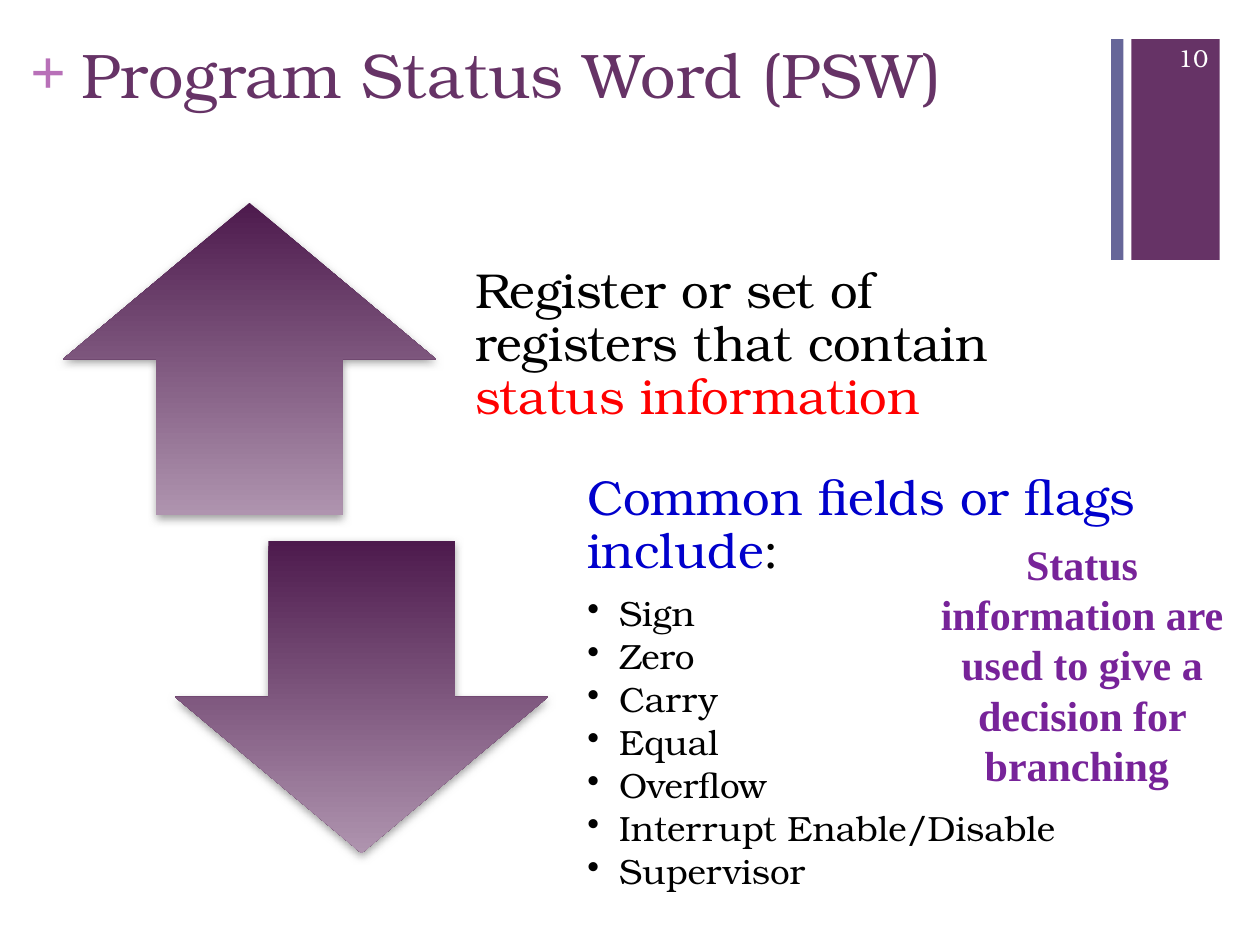
from lxml import etree
from pptx import Presentation
from pptx.dml.color import RGBColor
from pptx.enum.shapes import MSO_SHAPE
from pptx.enum.text import MSO_ANCHOR, PP_ALIGN
from pptx.oxml import parse_xml
from pptx.oxml.ns import nsdecls, qn
from pptx.util import Cm, Pt

RECT = MSO_SHAPE.RECTANGLE
UP, DOWN = MSO_SHAPE.UP_ARROW, MSO_SHAPE.DOWN_ARROW
TOP, MIDDLE = MSO_ANCHOR.TOP, MSO_ANCHOR.MIDDLE
LEFT, CENTER, RIGHT = PP_ALIGN.LEFT, PP_ALIGN.CENTER, PP_ALIGN.RIGHT

SERIF, TIMES = "TeX Gyre Bonum", "Times New Roman"
COLORS = {
    "plum": "663366", "slate": "666699", "orchid": "B870B8",
    "dark": "4D1A4D", "pale": "AF94AF", "black": "000000",
    "red": "FF0000", "blue": "0000CC", "violet": "772399", "white": "FFFFFF",
}
SHADOW = (
    f'<a:effectLst {nsdecls("a")}>'
    '<a:outerShdw blurRad="63500" dist="25400" dir="5400000" rotWithShape="0">'
    '<a:srgbClr val="808080"><a:alpha val="75000"/></a:srgbClr>'
    '</a:outerShdw></a:effectLst>'
)


def add_box(place, insets=(0.25, 0.13, 0.25, 0.13), anchor=TOP):
    """Add a wrapping text box and return its text frame."""
    frame = slide.shapes.add_textbox(*map(Cm, place)).text_frame
    frame.word_wrap = True
    frame.vertical_anchor = anchor
    (frame.margin_left, frame.margin_top,
     frame.margin_right, frame.margin_bottom) = map(Cm, insets)
    return frame


def add_run(para, text, size, color, font=SERIF, bold=False):
    run = para.add_run()
    run.text = text
    run.font.size = Pt(size)
    run.font.name = font
    run.font.bold = bold
    run.font.color.rgb = RGBColor.from_string(COLORS[color])


prs = Presentation()
prs.slide_width, prs.slide_height = Cm(25.4), Cm(19.05)
slide = prs.slides.add_slide(prs.slide_layouts[6])

# Corner bars
for left, width, color in [(22.81, 1.78, "plum"), (22.4, 0.25, "slate")]:
    bar = slide.shapes.add_shape(RECT, Cm(left), Cm(0.79), Cm(width), Cm(4.45))
    bar.shadow.inherit = False
    bar.fill.solid()
    bar.fill.fore_color.rgb = RGBColor.from_string(COLORS[color])
    bar.line.fill.background()

# Title, plus sign and page number
plus = add_box((0.61, 0.64, 0.74, 1.55), (0, 0, 0, 0))
add_run(plus.paragraphs[0], "+", 36, "orchid", TIMES, True)
title = add_box((1.4, 0.58, 20.98, 1.88))
add_run(title.paragraphs[0], "Program Status Word (PSW)", 36, "plum")
page = add_box((23.06, 0.66, 1.55, 1.02), anchor=MIDDLE)
page.paragraphs[0].alignment = RIGHT
add_run(page.paragraphs[0], "10", 14, "white")

# Arrows
for kind, left, top in [(UP, 1.27, 4.09), (DOWN, 3.53, 10.9)]:
    arrow = slide.shapes.add_shape(kind, Cm(left), Cm(top), Cm(7.52), Cm(6.3))
    arrow.line.fill.background()
    arrow.fill.gradient()
    arrow.fill.gradient_angle = 270
    stops = zip(arrow.fill.gradient_stops, [(0, "dark"), (1, "pale")])
    for stop, (pos, color) in stops:
        stop.position = pos
        stop.color.rgb = RGBColor.from_string(COLORS[color])
    arrow._element.spPr.append(parse_xml(SHADOW))

# Text beside each arrow
pad = (0.56, 0, 0.56, 0.56)
upper = add_box((9.02, 4.09, 12.73, 6.3), pad, MIDDLE)
lower = add_box((11.28, 9.32, 12.73, 9.45), pad, MIDDLE)
heads = [
    (upper, [("Register or set of registers that contain ", "black"),
             ("status information", "red")]),
    (lower, [("Common fields or flags include", "blue"), (":", "black")]),
]
for frame, parts in heads:
    para = frame.paragraphs[0]
    para.alignment = LEFT
    para.line_spacing = 0.9
    para.space_after = Pt(9.8)
    for text, color in parts:
        add_run(para, text, 28, color)

flags = ["Sign", "Zero", "Carry", "Equal", "Overflow",
         "Interrupt Enable/Disable", "Supervisor"]
for flag in flags:
    para = lower.add_paragraph()
    para.level = 1
    para.line_spacing = 0.9
    para.space_after = Pt(3)
    add_run(para, flag, 20, "black")
    props = para._p.get_or_add_pPr()
    props.set("marL", str(Cm(0.64)))
    props.set("indent", str(Cm(-0.64)))
    etree.SubElement(props, qn("a:buChar")).set("char", "•")

# Side note
note = add_box((18.64, 10.72, 6.35, 5.38))
note.paragraphs[0].alignment = CENTER
add_run(note.paragraphs[0],
        "Status information are used to give a decision for branching ",
        24, "violet", TIMES, True)

prs.save("out.pptx")
